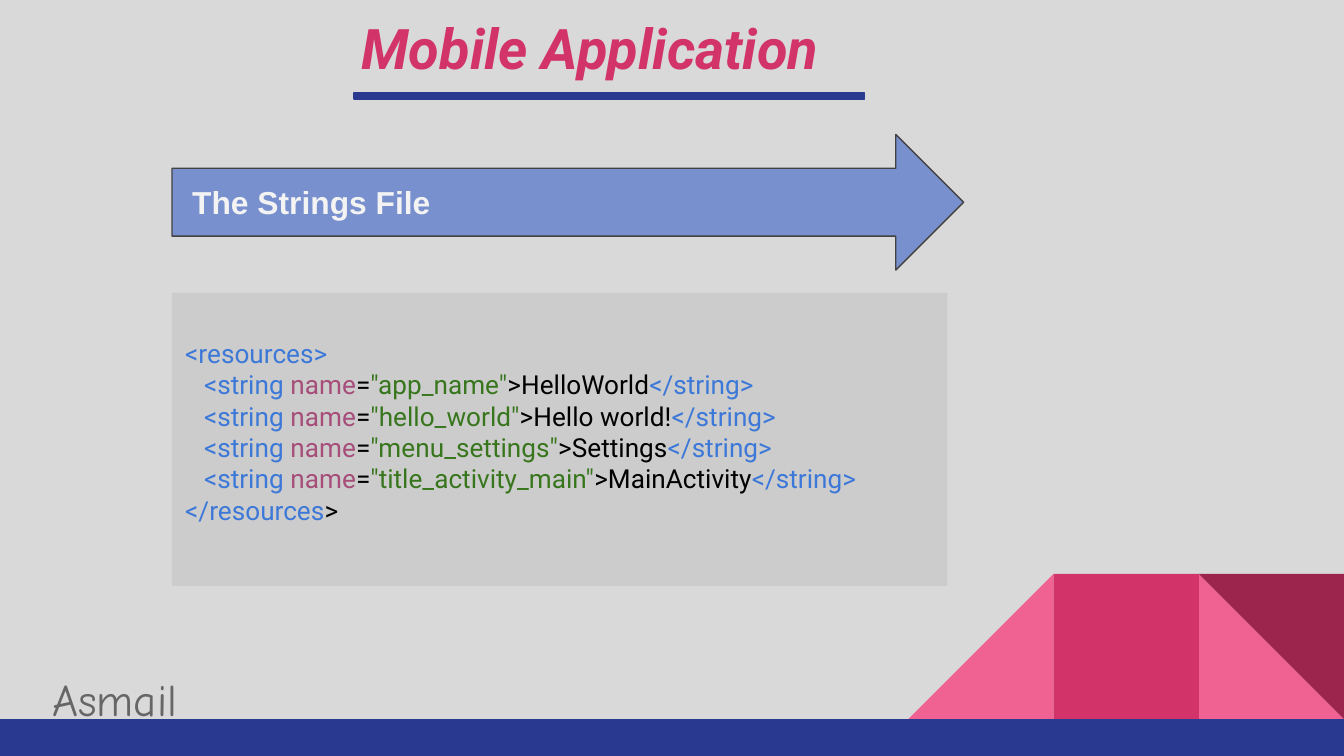
from pptx import Presentation
from pptx.dml.color import RGBColor
from pptx.enum.shapes import MSO_SHAPE
from pptx.enum.text import MSO_ANCHOR, PP_ALIGN
from pptx.util import Inches, Pt

RECT, TRIANGLE = MSO_SHAPE.RECTANGLE, MSO_SHAPE.RIGHT_TRIANGLE
MINUS, ARROW = MSO_SHAPE.MATH_MINUS, MSO_SHAPE.RIGHT_ARROW
TOP, MIDDLE = MSO_ANCHOR.TOP, MSO_ANCHOR.MIDDLE
LEFT = PP_ALIGN.LEFT

# Content
TITLE = "Mobile Application"
HEADING = "The Strings File"
AUTHOR = "Asmail"
STRINGS = [
    ("app_name", "HelloWorld"),
    ("hello_world", "Hello world!"),
    ("menu_settings", "Settings"),
    ("title_activity_main", "MainActivity"),
]

THEME = {
    "background": "D9D9D9", "navy": "2A3990", "arrow": "7890CD",
    "outline": "434343", "panel": "CCCCCC", "heading": "F3F3F3",
    "author": "666666", "pink": "F06292", "rose": "D23369", "wine": "9C254D",
    "tag": "3C78D8", "attribute": "A64D79", "value": "38761D", "plain": "000000",
    "title_size": 30, "author_size": 24, "heading_size": 17, "code_size": 14,
}

# Layout, in inches, on a 16:9 slide
WIDTH = 10
HEIGHT = WIDTH * 9 / 16
TILE = 1.08
FLOOR = 5.35
MARGIN = 1.28
INSET = 0.1
CODE_TOP_INSET = 0.33
CODE_INDENT = 0.14

prs = Presentation()
prs.slide_width, prs.slide_height = Inches(WIDTH), Inches(HEIGHT)
slide = prs.slides.add_slide(prs.slide_layouts[6])


def rgb(name):
    return RGBColor.from_string(THEME[name])


def add_block(kind, box, fill, line=None, adjust=(), flip=False, rotation=0):
    block = slide.shapes.add_shape(kind, *map(Inches, box))
    block.shadow.inherit = False
    block.fill.solid()
    block.fill.fore_color.rgb = rgb(fill)
    if line:
        block.line.color.rgb = rgb(line)
        block.line.width = Pt(0.75)
    else:
        block.line.fill.background()
    for i, value in enumerate(adjust):
        block.adjustments[i] = value
    if flip:
        block._element.spPr.xfrm.set("flipH", "1")
    block.rotation = rotation
    return block


def write(holder, lines, size, font="Roboto", bold=False, italic=False,
          anchor=TOP, left=INSET, top=INSET, spacing=None):
    """Each line is (indent, [(text, colour name), ...])."""
    frame = holder.text_frame
    frame.word_wrap = True
    frame.vertical_anchor = anchor
    frame.margin_left, frame.margin_top = Inches(left), Inches(top)
    frame.margin_right = frame.margin_bottom = Inches(INSET)
    for i, (indent, pieces) in enumerate(lines):
        paragraph = frame.add_paragraph() if i else frame.paragraphs[0]
        paragraph.alignment = LEFT
        if spacing:
            paragraph.line_spacing = spacing
        if indent:
            paragraph._p.get_or_add_pPr().set("marL", str(Inches(indent)))
        for text, colour in pieces:
            run = paragraph.add_run()
            run.text = text
            run.font.name, run.font.size = font, Pt(THEME[size])
            run.font.bold, run.font.italic = bold, italic
            run.font.color.rgb = rgb(colour)


def string_line(name, text):
    return CODE_INDENT, [
        ("<string ", "tag"), ("name", "attribute"), ("=", "plain"),
        (f'"{name}"', "value"), (f">{text}", "plain"), ("</string>", "tag"),
    ]


# Background and corner tiles, counted in columns from the right edge
slide.background.fill.solid()
slide.background.fill.fore_color.rgb = rgb("background")
for column, kind, colour, flip, rotation in [
    (1, TRIANGLE, "pink", False, 0),
    (3, TRIANGLE, "pink", True, 0),
    (2, RECT, "rose", False, 0),
    (1, TRIANGLE, "wine", False, 180),
]:
    add_block(kind, (WIDTH - column * TILE, FLOOR - TILE, TILE, TILE), colour,
              flip=flip, rotation=rotation)
add_block(RECT, (0, FLOOR, WIDTH, HEIGHT - FLOOR), "navy")

# Title with its underline, and author
title = slide.shapes.add_textbox(*map(Inches, (2.59, 0, 4.35, 0.66)))
write(title, [(0, [(TITLE, "rose")])], "title_size", bold=True, italic=True)
author = slide.shapes.add_textbox(*map(Inches, (0.29, 4.84, 1.65, 0.31)))
write(author, [(0, [(AUTHOR, "author")])], "author_size", font="Comic Neue",
      spacing=1.15)
add_block(MINUS, (1.95, 0.56, 5.17, 0.31), "navy", line="navy", adjust=[0.15])

# Heading arrow
heading = add_block(ARROW, (MARGIN, 1, 5.89, 1.01), "arrow", line="outline",
                    adjust=[0.5, 0.5])
write(heading, [(0, [(HEADING, "heading")])], "heading_size", font="Arial",
      bold=True, anchor=MIDDLE, left=INSET + 0.05)

# Code panel
code = add_block(RECT, (MARGIN, 2.18, 5.77, 2.18), "panel")
write(code, [
    (0, [("<resources>", "tag")]),
    *[string_line(*entry) for entry in STRINGS],
    (0, [("</resources", "tag"), (">", "plain")]),
], "code_size", top=CODE_TOP_INSET)

prs.save("out.pptx")
